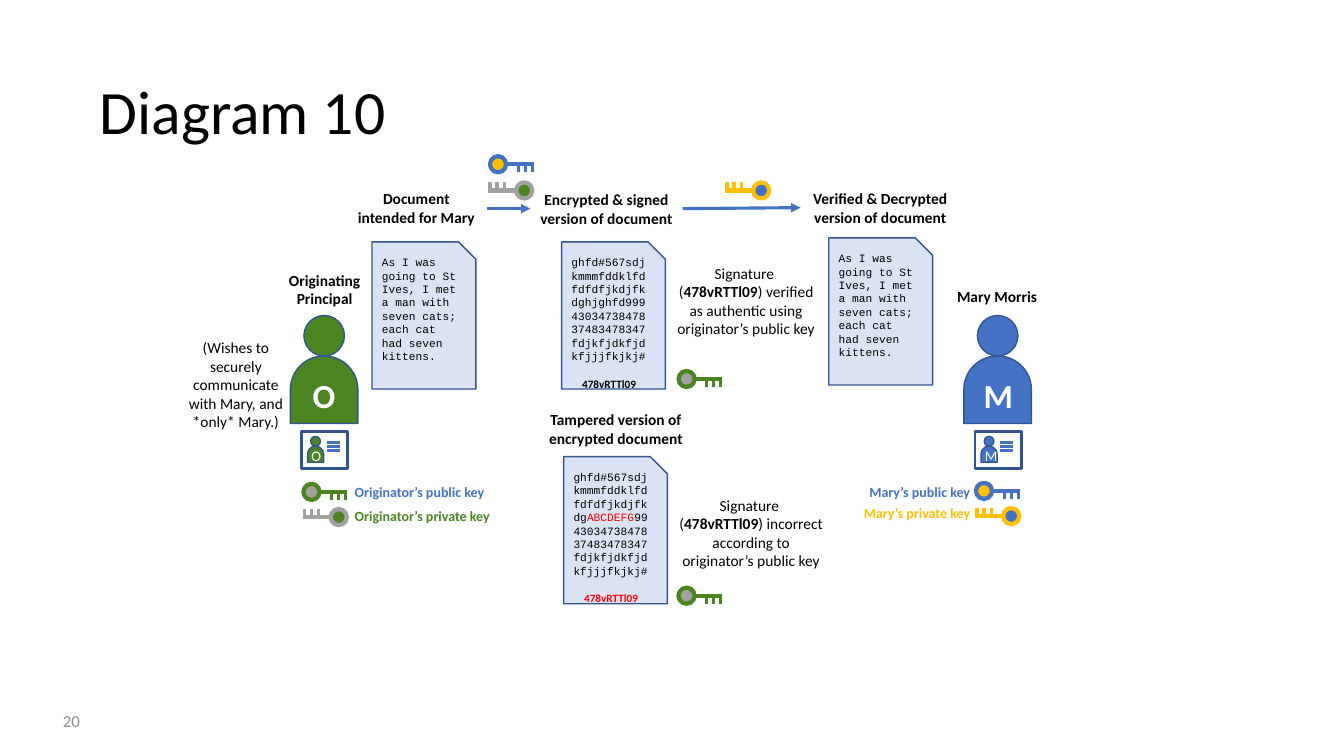
import pptx
import pptx.util
import pptx.dml.color
import pptx.enum.shapes
import pptx.enum.text
import pptx.oxml.ns
import lxml.etree

Inches, Pt = pptx.util.Inches, pptx.util.Pt
SHAPE = pptx.enum.shapes.MSO_SHAPE
ALIGN = pptx.enum.text.PP_ALIGN
ANCHOR = pptx.enum.text.MSO_ANCHOR

BLACK, WHITE, RED = "000000", "FFFFFF", "FF0000"
BLUE, MARY_BLUE, OUTLINE, PAPER = "4372C4", "4472C4", "325491", "DAE3F3"
GREEN, GREY, GOLD = "4A8522", "A2A1A1", "FFC001"

RHYME = ("As I was going to St Ives, I met a man with seven cats; "
         "each cat had seven kittens.")
CIPHER_START = "ghfd#567sdjkmmmfddklfdfdfdfjkdjfkdg"
CIPHER_END = "994303473847837483478347fdjkfjdkfjdkfjjjfkjkj#"
SIGNATURE = "478vRTTl09"


def color(value):
    return pptx.dml.color.RGBColor.from_string(value)


def add_para(frame, spans, size=11, font="Calibri", ink=BLACK, bold=False,
             align=ALIGN.CENTER, before=None, spacing=None):
    """Spans are one string, or a list of (text, format changes)."""
    para = frame.paragraphs[0]
    if para.runs:
        para = frame.add_paragraph()
    para.alignment = align
    if before:
        para.space_before = Pt(before)
    if spacing:
        para.line_spacing = spacing
    for text, changes in [(spans, {})] if isinstance(spans, str) else spans:
        span = para.add_run()
        span.text = text
        span.font.name = font
        span.font.size = Pt(size)
        span.font.bold = changes.get("bold", bold)
        span.font.color.rgb = color(changes.get("ink", ink))


def add_text(page, box, *paras, wrap=True, anchor=ANCHOR.TOP, **style):
    frame = page.shapes.add_textbox(*map(Inches, box)).text_frame
    frame.word_wrap = wrap
    frame.vertical_anchor = anchor
    for spans in paras:
        add_para(frame, spans, **style)


def add_shape(shapes, kind, box, fill, line=OUTLINE, width=1):
    shape = shapes.add_shape(kind, *map(Inches, box))
    shape.shadow.inherit = False
    shape.fill.solid()
    shape.fill.fore_color.rgb = color(fill)
    shape.line.color.rgb = color(line)
    shape.line.width = Pt(width)
    return shape


def add_line(shapes, start, end, ink, width, arrow=False):
    line = shapes.add_connector(pptx.enum.shapes.MSO_CONNECTOR.STRAIGHT,
                                *map(Inches, (*start, *end)))
    line.line.color.rgb = color(ink)
    line.line.width = Pt(width)
    qn = pptx.oxml.ns.qn
    properties = line._element.spPr
    if arrow:
        lxml.etree.SubElement(properties.find(qn("a:ln")), qn("a:tailEnd"), type="triangle")
    lxml.etree.SubElement(properties, qn("a:effectLst"))


def add_key(page, left, top, fill, ink, turned=False):
    """Key in a 0.44 x 0.16 box; a turned key is rotated by half a turn."""
    shapes = page.shapes.add_group_shape().shapes

    def place(x, y):
        return (left + 0.44 - x, top + 0.16 - y) if turned else (left + x, top + y)

    bow = (left + 0.28 if turned else left, top, 0.16, 0.16)
    add_shape(shapes, SHAPE.OVAL, bow, fill, ink, 3)
    add_line(shapes, place(0.16, 0.08), place(0.43, 0.08), ink, 3)
    for tooth in (0.28, 0.35, 0.42):
        add_line(shapes, place(tooth, 0.06), place(tooth, 0.16), ink, 2.25)


def add_figure(shapes, left, top, side, letter, fill, **style):
    """Head and body; side is the width and height of the body."""
    head = (left + 0.2 * side, top, 0.6 * side, 0.6 * side)
    add_shape(shapes, SHAPE.OVAL, head, fill)
    body = add_shape(shapes, SHAPE.ROUND_2_SAME_RECTANGLE,
                     (left, top + 0.6 * side, side, side), fill)
    body.adjustments[0], body.adjustments[1] = 0.497, 0
    body.text_frame.vertical_anchor = ANCHOR.MIDDLE
    add_para(body.text_frame, letter, ink=WHITE, **style)


def add_principal(page, left, top, letter, fill):
    """Person with an identity card below."""
    add_figure(page.shapes.add_group_shape().shapes, left, top, 0.67,
               letter, fill, size=24, bold=True)
    card = page.shapes.add_group_shape().shapes
    card_left, card_top = left + 0.11, top + 1.15
    add_shape(card, SHAPE.RECTANGLE, (card_left, card_top, 0.46, 0.37), WHITE, width=2)
    add_figure(card, card_left + 0.06, card_top + 0.05, 0.16, letter, fill, size=10.5)
    for row in range(3):
        y = card_top + 0.11 + 0.04 * row
        add_line(card, (card_left + 0.25, y), (card_left + 0.38, y), MARY_BLUE, 2)


def add_document(page, left, top, spans, signature_ink=None):
    sheet = add_shape(page.shapes, SHAPE.SNIP_1_RECTANGLE, (left, top, 1.03, 1.46), PAPER)
    frame = sheet.text_frame
    frame.word_wrap = True
    frame.vertical_anchor = ANCHOR.TOP
    add_para(frame, spans, size=8, font="Courier New", align=ALIGN.LEFT)
    if signature_ink:
        add_para(frame, SIGNATURE, size=8, bold=True, ink=signature_ink, before=10)


def add_verdict(page, box, verdict):
    add_text(page, box, "Signature ",
             [("(", {}), (SIGNATURE, {"bold": True}),
              (f") {verdict} originator’s public key", {})])


def add_principals(page):
    add_principal(page, 2.88, 3.13, "O", GREEN)
    add_principal(page, 9.56, 3.13, "M", MARY_BLUE)
    add_text(page, (2.73, 2.64, 0.98, 0.47), "Originating Principal", bold=True)
    add_text(page, (9.39, 2.8, 1, 0.29), "Mary Morris", bold=True, wrap=False)
    add_text(page, (1.72, 3.31, 1.24, 1.03),
             "(Wishes to securely communicate with Mary, and *only* Mary.)")


def add_documents(page):
    add_document(page, 3.69, 2.4, RHYME)
    add_document(page, 5.57, 2.4, CIPHER_START + "hjghfd9" + CIPHER_END, BLACK)
    add_document(page, 5.59, 4.53, [(CIPHER_START, {}), ("ABCDEFG", {"ink": RED}),
                                    (CIPHER_END, {})], RED)
    add_document(page, 8.22, 2.36, RHYME)
    for left, top, width, caption in (
            (3.43, 1.83, 1.4, "Document intended for Mary"),
            (5.26, 1.84, 1.51, "Encrypted & signed version of document"),
            (5.28, 4.02, 1.66, "Tampered version of encrypted document"),
            (7.94, 1.83, 1.58, "Verified & Decrypted version of document")):
        add_text(page, (left, top, width, 0.47), caption, bold=True)
    add_verdict(page, (6.59, 2.57, 1.62, 1.21), "verified as authentic using")
    add_verdict(page, (6.64, 4.87, 1.62, 0.84), "incorrect according to")
    add_line(page.shapes, (4.83, 2.07), (5.26, 2.07), BLUE, 2.25, arrow=True)
    add_line(page.shapes, (6.77, 2.07), (7.94, 2.06), BLUE, 2.25, arrow=True)


def add_keys(page):
    # Public keys
    for left, top, fill, ink in ((9.68, 4.79, GOLD, BLUE), (4.86, 1.55, GOLD, BLUE),
                                 (3.01, 4.8, GREY, GREEN), (6.73, 3.68, GREY, GREEN),
                                 (6.73, 5.83, GREY, GREEN)):
        add_key(page, left, top, fill, ink)
    # Private keys
    for left, top, fill, ink in ((9.67, 5.04, BLUE, GOLD), (7.19, 1.81, BLUE, GOLD),
                                 (3, 5.05, GREEN, GREY), (4.84, 1.81, GREEN, GREY)):
        add_key(page, left, top, fill, ink, turned=True)
    # Key labels
    for left, top, width, label, ink, align in (
            (8.5, 4.75, 1.22, "Mary’s public key", BLUE, ALIGN.RIGHT),
            (8.44, 4.96, 1.28, "Mary’s private key", GOLD, ALIGN.RIGHT),
            (3.42, 4.75, 1.57, "Originator’s public key", BLUE, ALIGN.LEFT),
            (3.42, 4.99, 1.63, "Originator’s private key", GREEN, ALIGN.LEFT)):
        add_text(page, (left, top, width, 0.27), label, size=10, bold=True,
                 ink=ink, align=align, wrap=False)


def main():
    deck = pptx.Presentation()
    deck.slide_width, deck.slide_height = Inches(13.33), Inches(7.5)
    page = deck.slides.add_slide(deck.slide_layouts[6])
    # Title and page number
    add_text(page, (0.89, 0.41, 11.5, 1.45), "Diagram 10", size=44,
             align=ALIGN.LEFT, anchor=ANCHOR.MIDDLE, spacing=0.9)
    add_text(page, (0.3, 6.95, 0.59, 0.4), "20", size=12, ink="8C8C8C",
             align=ALIGN.RIGHT, anchor=ANCHOR.MIDDLE)
    # Diagram
    add_documents(page)
    add_principals(page)
    add_keys(page)
    deck.save("out.pptx")


if __name__ == "__main__":
    main()
